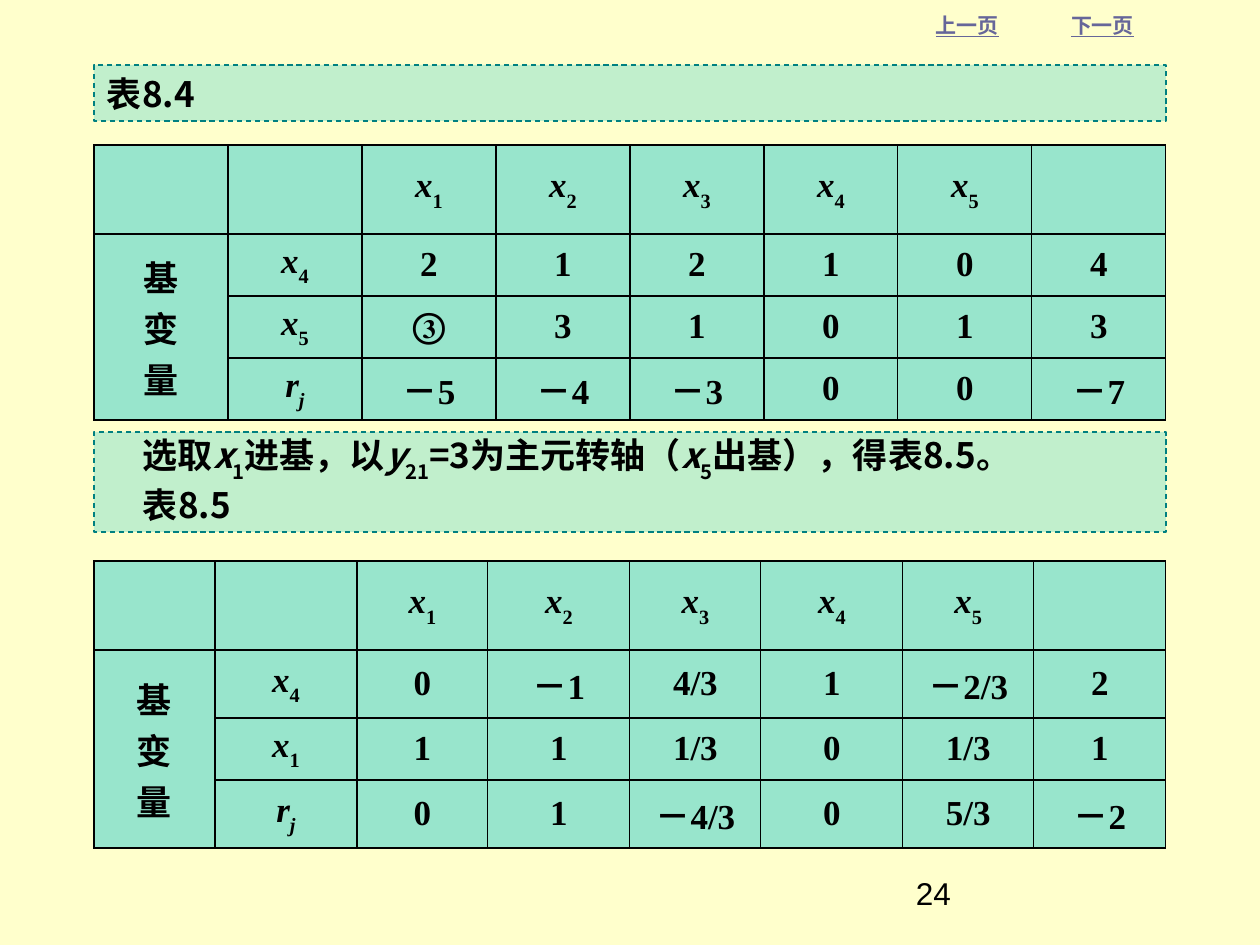
"""Build the slide with simplex tables 8.4 and 8.5."""
from pptx import Presentation
from pptx.dml.color import RGBColor
from pptx.enum.dml import MSO_LINE
from pptx.enum.shapes import MSO_SHAPE as Kind
from pptx.enum.text import MSO_ANCHOR as Anchor, PP_ALIGN as Align
from pptx.oxml import parse_xml
from pptx.oxml.ns import nsdecls, qn
from pptx.util import Pt
from lxml.etree import SubElement

PX = 914400 // 126
HUE = {"page": "FFFFCC", "teal": "33CCCC", "edge": "008080", "ink": "000000", "link": "666699"}
CJK, SERIF = "Noto Sans CJK SC", "Times New Roman"
LEFT, WIDE = 94, 1072

LINKS = [("上一页", 923, 89), ("下一页", 1047, 100)]
NOTES = [
    ("表8.4", 65, 56, Anchor.MIDDLE, 0),
    ("选取|*x|_1|进基，以|*y|_21|=3为主元转轴（|*x|_5|出基），得表8.5。\n表8.5",
     432, 100, Anchor.TOP, 36),
]
HEAD = ["", "", "*x|_1", "*x|_2", "*x|_3", "*x|_4", "*x|_5", ""]
BASE = "基\n变\n量"
GRIDS = [
    (145, [134] * 8, [89, 62, 62, 62], [
        HEAD,
        [BASE, "*x|_4", "2", "1", "2", "1", "0", "4"],
        ["", "*x|_5", "③", "3", "1", "0", "1", "3"],
        ["", "*r|_*j", "－5", "－4", "－3", "0", "0", "－7"],
    ]),
    (561, [121, 142, 131, 142, 131, 142, 131, 132], [89, 68, 62, 68], [
        HEAD,
        [BASE, "*x|_4", "0", "－1", "4/3", "1", "－2/3", "2"],
        ["", "*x|_1", "1", "1", "1/3", "0", "1/3", "1"],
        ["", "*r|_*j", "0", "1", "－4/3", "0", "5/3", "－2"],
    ]),
]


def tint(fill, name, alpha=None):
    fill.solid()
    fill.fore_color.rgb = RGBColor.from_string(HUE[name])
    if alpha:
        clr = fill._xPr.find(qn("a:solidFill"))[0]
        SubElement(clr, qn("a:alpha")).set("val", str(alpha * 1000))


def write(frame, text, size, face, hue="ink", bold=True, line=False, align=Align.LEFT, dent=0):
    for i, row in enumerate(text.split("\n")):
        para = frame.add_paragraph() if i else frame.paragraphs[0]
        para.alignment = align
        if dent:
            para._p.get_or_add_pPr().set("indent", str(dent * PX))
        for part in row.split("|"):
            run = para.add_run()
            run.text = part.lstrip("_*")
            font = run.font
            font.size, font.name, font.bold = Pt(size), face, bold
            font.italic, font.underline = "*" in part, line
            font.color.rgb = RGBColor.from_string(HUE[hue])
            props = run._r.get_or_add_rPr()
            SubElement(props, qn("a:ea")).set("typeface", CJK)
            if part.startswith("_"):
                props.set("baseline", "-30000")


def setup(frame, anchor):
    frame.word_wrap = True
    frame.vertical_anchor = anchor
    frame.margin_left = frame.margin_right = 13 * PX
    frame.margin_top = frame.margin_bottom = 2 * PX


def label(slide, text, box, **style):
    frame = slide.shapes.add_textbox(*(n * PX for n in box)).text_frame
    setup(frame, Anchor.MIDDLE)
    write(frame, text, **style)


def note(slide, text, top, high, anchor, dent):
    box = slide.shapes.add_shape(Kind.RECTANGLE, LEFT * PX, top * PX, WIDE * PX, high * PX)
    box.shadow.inherit = False
    tint(box.fill, "teal", 30)
    tint(box.line.fill, "edge")
    box.line.width = Pt(0.75)
    box.line.dash_style = MSO_LINE.DASH
    setup(box.text_frame, anchor)
    write(box.text_frame, text, 20, CJK, dent=dent)


def rule(cell, r, c):
    heavy = {"L": r > 0 and c == 2, "R": r > 0 and c == 1, "T": r != 2, "B": r != 1 or c == 0}
    props = cell._tc.get_or_add_tcPr()
    for i, (side, thick) in enumerate(heavy.items()):
        props.insert(i, parse_xml(
            f'<a:ln{side} {nsdecls("a")} w="{Pt(1 if thick else 0.75)}"><a:solidFill>'
            f'<a:srgbClr val="{HUE["ink"]}"/></a:solidFill></a:ln{side}>'))


def grid(slide, top, cols, rows, data):
    table = slide.shapes.add_table(len(rows), len(cols), LEFT * PX, top * PX,
                                   sum(cols) * PX, sum(rows) * PX).table
    table.first_row = table.horz_banding = False
    for col, wide in zip(table.columns, cols):
        col.width = wide * PX
    for row, high in zip(table.rows, rows):
        row.height = high * PX
    for r, line in enumerate(data):
        for c, text in enumerate(line):
            cell = table.cell(r, c)
            cell.vertical_anchor = Anchor.MIDDLE
            cell.margin_top = cell.margin_bottom = 5 * PX
            tint(cell.fill, "teal", 50)
            rule(cell, r, c)
            if text:
                write(cell.text_frame, text, 20, SERIF, align=Align.CENTER)
    table.cell(1, 0).merge(table.cell(3, 0))


def main():
    deck = Presentation()
    deck.slide_width, deck.slide_height = 1260 * PX, 945 * PX
    slide = deck.slides.add_slide(deck.slide_layouts[6])
    tint(slide.background.fill, "page")
    for text, left, wide in LINKS:
        label(slide, text, (left, 6, wide, 38), size=12, face="Montserrat",
              hue="link", line=True, align=Align.RIGHT)
    label(slide, "24", (903, 861, 294, 63), size=18, face="Arial", bold=False)
    for item in NOTES:
        note(slide, *item)
    for item in GRIDS:
        grid(slide, *item)
    deck.save("out.pptx")


if __name__ == "__main__":
    main()
